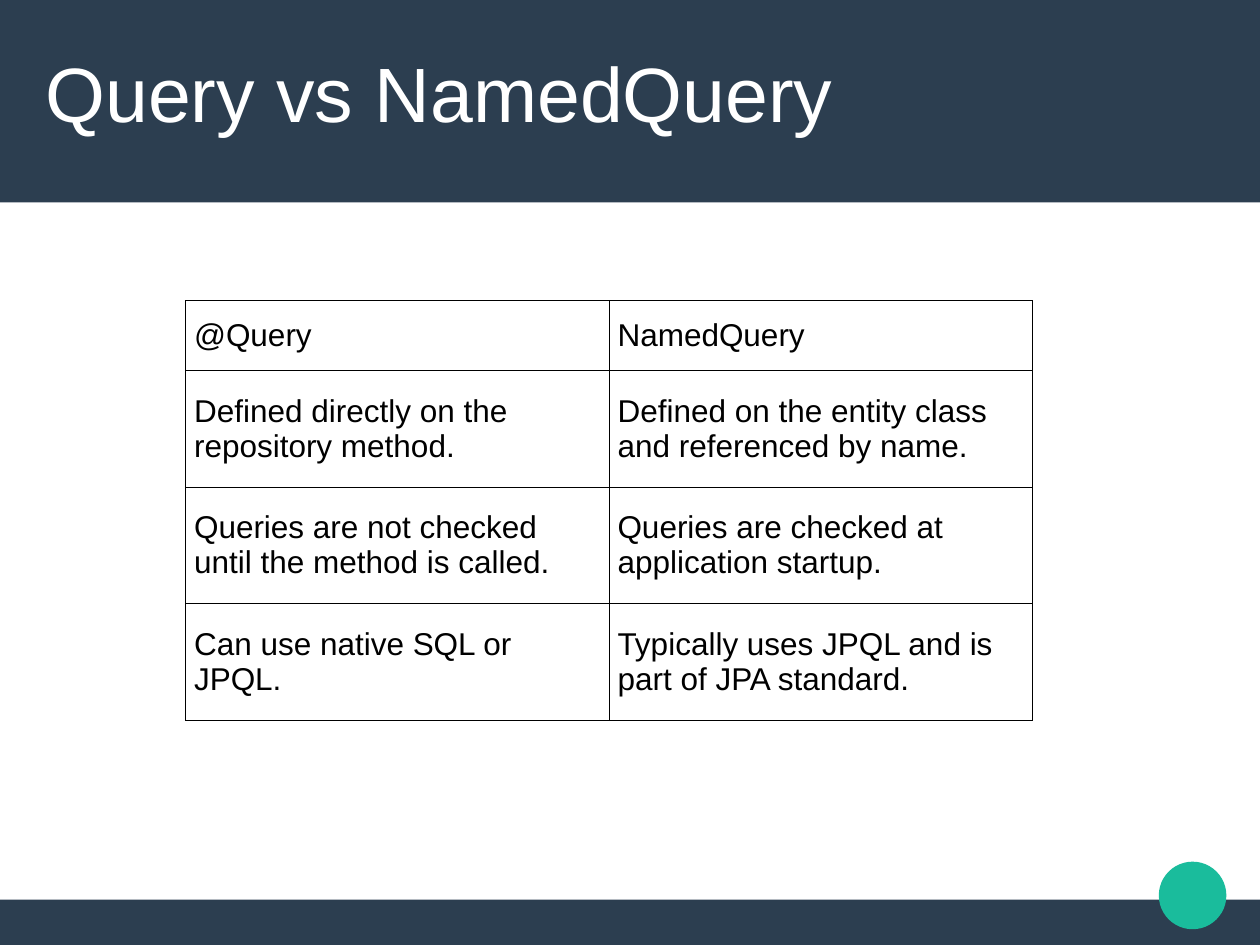
from lxml import etree
from pptx import Presentation
from pptx.dml.color import RGBColor
from pptx.enum.shapes import MSO_SHAPE
from pptx.enum.text import MSO_ANCHOR
from pptx.oxml.ns import qn
from pptx.util import Pt

RECTANGLE, OVAL = MSO_SHAPE.RECTANGLE, MSO_SHAPE.OVAL
MIDDLE = MSO_ANCHOR.MIDDLE

# Content
TITLE = "Query vs NamedQuery"
COMPARISON = [
    ("@Query", "NamedQuery"),
    ("Defined directly on the repository method.",
     "Defined on the entity class and referenced by name."),
    ("Queries are not checked until the method is called.",
     "Queries are checked at application startup."),
    ("Can use native SQL or JPQL.",
     "Typically uses JPQL and is part of JPA standard."),
]

# Look and layout, in points
NAVY, GREEN, WHITE, BLACK = "2C3E50", "1ABC9C", "FFFFFF", "000000"
WIDTH, HEIGHT = 720, 540
HEADER_HEIGHT, FOOTER_HEIGHT = 115.7, 26
DECOR = [
    (RECTANGLE, NAVY, 0, HEIGHT - FOOTER_HEIGHT, WIDTH, FOOTER_HEIGHT),
    (RECTANGLE, NAVY, 0, 0, WIDTH, HEADER_HEIGHT),
    (OVAL, GREEN, 662.2, 492.4, 38.6, 38.6),
]
TITLE_BOX = (26, 21.6, 669, 68.4)
TABLE_LEFT, TABLE_TOP = 105.9, 171.8
COLUMN_WIDTH, HEADING_HEIGHT, ROW_HEIGHT = 242, 39.8, 66.7
CELL_MARGIN, BORDER_WIDTH = 5, 0.33


def color(hex_string):
    return RGBColor.from_string(hex_string)


def write(frame, text, size=18, ink=BLACK, margin=0, spacing=1.0):
    frame.word_wrap = True
    paragraph = frame.paragraphs[0]
    paragraph.line_spacing = spacing
    run = paragraph.add_run()
    run.text = text
    run.font.name, run.font.size = "Arial", Pt(size)
    run.font.color.rgb = color(ink)


def set_margins(holder, margin):
    holder.margin_left = holder.margin_right = Pt(margin)
    holder.margin_top = holder.margin_bottom = Pt(margin)
    holder.vertical_anchor = MIDDLE


def add_borders(cell):
    properties = cell._tc.get_or_add_tcPr()
    for position, side in enumerate(("lnL", "lnR", "lnT", "lnB")):
        line = etree.Element(qn(f"a:{side}"), w=str(int(Pt(BORDER_WIDTH))))
        fill = etree.SubElement(line, qn("a:solidFill"))
        etree.SubElement(fill, qn("a:srgbClr"), val=BLACK)
        properties.insert(position, line)


def main():
    deck = Presentation()
    deck.slide_width, deck.slide_height = Pt(WIDTH), Pt(HEIGHT)
    slide = deck.slides.add_slide(deck.slide_layouts[6])

    # Header, footer and corner circle
    for outline, fill, *box in DECOR:
        decor = slide.shapes.add_shape(outline, *map(Pt, box))
        decor.shadow.inherit = False
        decor.fill.solid()
        decor.fill.fore_color.rgb = color(fill)
        decor.line.fill.background()

    # Title
    title = slide.shapes.add_textbox(*map(Pt, TITLE_BOX)).text_frame
    set_margins(title, 0)
    write(title, TITLE, size=44, ink=WHITE, spacing=0.9)

    # Comparison table
    heights = [HEADING_HEIGHT] + [ROW_HEIGHT] * (len(COMPARISON) - 1)
    columns = len(COMPARISON[0])
    table = slide.shapes.add_table(
        len(COMPARISON), columns, Pt(TABLE_LEFT), Pt(TABLE_TOP),
        Pt(COLUMN_WIDTH * columns), Pt(sum(heights))).table
    for column in table.columns:
        column.width = Pt(COLUMN_WIDTH)
    table.first_row = table.horz_banding = False
    for r, (texts, height) in enumerate(zip(COMPARISON, heights)):
        table.rows[r].height = Pt(height)
        for c, text in enumerate(texts):
            cell = table.cell(r, c)
            set_margins(cell, CELL_MARGIN)
            cell.fill.solid()
            cell.fill.fore_color.rgb = color(WHITE)
            add_borders(cell)
            write(cell.text_frame, text)

    deck.save("out.pptx")


if __name__ == "__main__":
    main()
